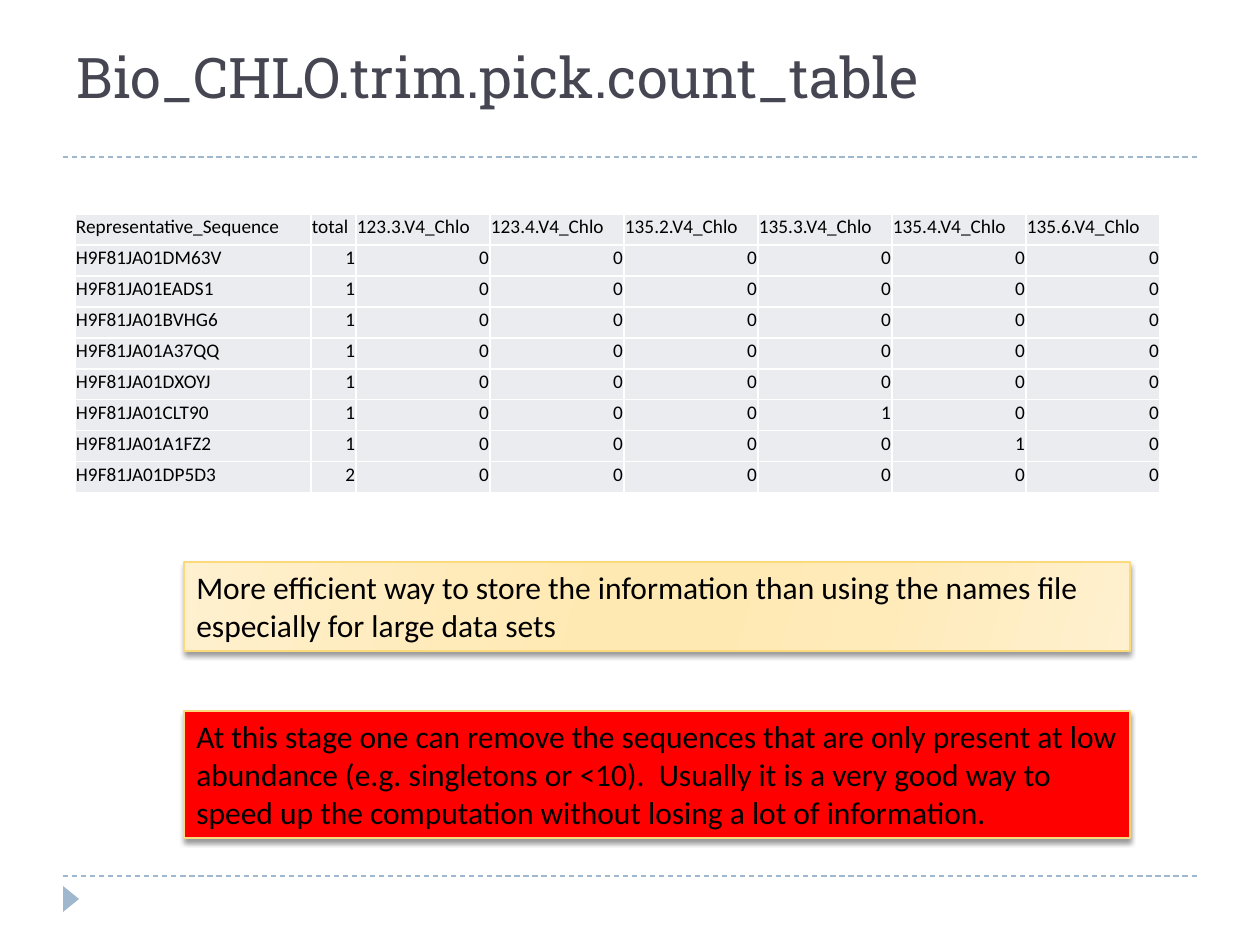
from lxml import etree
from pptx import Presentation, util as u
from pptx.dml.color import RGBColor
from pptx.enum import dml, shapes, text
from pptx.oxml import ns

EMU_PER_PX = 914400 / 126
BODY_FONT, TITLE_FONT = "Calibri", "Roboto Slab"
BLACK = RGBColor(0x00, 0x00, 0x00)
WHITE = RGBColor(0xFF, 0xFF, 0xFF)
SLATE = RGBColor(0x46, 0x46, 0x53)
PALE_BLUE = RGBColor(0x9F, 0xB8, 0xCD)
CELL_GREY = RGBColor(0xEB, 0xEC, 0xF0)
GOLD = RGBColor(0xFA, 0xDA, 0x7A)
RED = RGBColor(0xFF, 0x00, 0x00)
CREAM = RGBColor(0xFF, 0xF0, 0xCF)
SAND = RGBColor(0xFF, 0xEB, 0xBA)
HONEY = RGBColor(0xFF, 0xE9, 0xB3)
CREAM_STOPS = [(0, CREAM), (30, SAND), (45, HONEY), (55, HONEY), (73, SAND), (100, CREAM)]

SAMPLES = ["123.3.V4_Chlo", "123.4.V4_Chlo", "135.2.V4_Chlo",
           "135.3.V4_Chlo", "135.4.V4_Chlo", "135.6.V4_Chlo"]
COUNTS = [
    ("H9F81JA01DM63V", 1, 0, 0, 0, 0, 0, 0),
    ("H9F81JA01EADS1", 1, 0, 0, 0, 0, 0, 0),
    ("H9F81JA01BVHG6", 1, 0, 0, 0, 0, 0, 0),
    ("H9F81JA01A37QQ", 1, 0, 0, 0, 0, 0, 0),
    ("H9F81JA01DXOYJ", 1, 0, 0, 0, 0, 0, 0),
    ("H9F81JA01CLT90", 1, 0, 0, 0, 1, 0, 0),
    ("H9F81JA01A1FZ2", 1, 0, 0, 0, 0, 1, 0),
    ("H9F81JA01DP5D3", 2, 0, 0, 0, 0, 0, 0),
]
COLUMN_WIDTHS = [236, 45] + [134] * len(SAMPLES)
ROW_HEIGHT = 31


def px(length):
    return u.Emu(round(length * EMU_PER_PX))


def add_xml(parent, tag, **attributes):
    child = etree.SubElement(parent, ns.qn(tag))
    for name, value in attributes.items():
        child.set(name, str(value))
    return child


def style(para, size, color, font=BODY_FONT, align=text.PP_ALIGN.LEFT):
    para.alignment = align
    para.font.size = u.Pt(size)
    para.font.name = font
    para.font.color.rgb = color


def set_title(page, words):
    title = page.shapes.title
    title.left, title.top, title.width, title.height = px(64), px(16), px(1134), px(100)
    frame = title.text_frame
    frame.text = words
    frame.word_wrap = True
    frame.auto_size = text.MSO_AUTO_SIZE.NONE
    frame.vertical_anchor = text.MSO_ANCHOR.BOTTOM
    style(frame.paragraphs[0], 32, SLATE, TITLE_FONT)


def add_rule(page, y):
    """Draw a dashed line between the side margins."""
    rule = page.shapes.add_connector(shapes.MSO_CONNECTOR.STRAIGHT,
                                     px(63), px(y), px(1197), px(y))
    rule.line.color.rgb = PALE_BLUE
    rule.line.width = u.Pt(0.75)
    rule.line.dash_style = dml.MSO_LINE.DASH
    add_xml(rule._element.spPr, "a:effectLst")


def add_corner_marker(page):
    marker = page.shapes.add_shape(shapes.MSO_SHAPE.ISOSCELES_TRIANGLE,
                                   px(58), px(891), px(26), px(16))
    marker.rotation = 90
    marker.shadow.inherit = False
    marker.fill.solid()
    marker.fill.fore_color.rgb = PALE_BLUE
    marker.line.fill.background()


def format_cell(cell, align):
    properties = cell._tc.get_or_add_tcPr()
    for side in ("a:lnL", "a:lnR", "a:lnT", "a:lnB"):
        border = add_xml(properties, side, w=u.Pt(1))
        add_xml(add_xml(border, "a:solidFill"), "a:srgbClr", val=WHITE)
    cell.fill.solid()
    cell.fill.fore_color.rgb = CELL_GREY
    cell.margin_left = cell.margin_right = cell.margin_top = px(1)
    cell.margin_bottom = px(6)
    cell.vertical_anchor = text.MSO_ANCHOR.BOTTOM
    style(cell.text_frame.paragraphs[0], 11, BLACK, align=align)


def add_count_table(page):
    rows = [("Representative_Sequence", "total", *SAMPLES), *COUNTS]
    table = page.shapes.add_table(len(rows), len(COLUMN_WIDTHS), px(75), px(214),
                                  px(sum(COLUMN_WIDTHS)), px(ROW_HEIGHT * len(rows))).table
    table.first_row = table.horz_banding = False
    for column, width in zip(table.columns, COLUMN_WIDTHS):
        column.width = px(width)
    for row, values in zip(table.rows, rows):
        row.height = px(ROW_HEIGHT)
        for cell, value in zip(row.cells, values):
            cell.text = str(value)
            is_count = isinstance(value, int)
            format_cell(cell, text.PP_ALIGN.RIGHT if is_count else text.PP_ALIGN.LEFT)


def fill_gradient(shape, stops, angle):
    """Fill with (percent, colour) stops along a clockwise angle."""
    shape.fill.gradient()
    shape.fill.gradient_angle = 360 - angle
    stop_list = shape._element.spPr.find(".//" + ns.qn("a:gsLst"))
    for stop in list(stop_list):
        stop_list.remove(stop)
    for percent, color in stops:
        stop = add_xml(stop_list, "a:gs", pos=percent * 1000)
        add_xml(stop, "a:srgbClr", val=color)


def add_drop_shadow(shape):
    shape.shadow.inherit = False
    effects = shape._element.spPr.find(ns.qn("a:effectLst"))
    shadow = add_xml(effects, "a:outerShdw", blurRad=u.Pt(3), dist=u.Pt(2),
                     dir=90 * 60000, rotWithShape=0)
    add_xml(add_xml(shadow, "a:srgbClr", val=BLACK), "a:alpha", val=40000)


def add_note_box(page, top, height, words):
    box = page.shapes.add_shape(shapes.MSO_SHAPE.RECTANGLE,
                                px(184), px(top), px(946), px(height))
    box.line.color.rgb = GOLD
    box.line.width = u.Pt(0.75)
    add_drop_shadow(box)
    frame = box.text_frame
    frame.text = words
    frame.word_wrap = True
    frame.auto_size = text.MSO_AUTO_SIZE.SHAPE_TO_FIT_TEXT
    frame.vertical_anchor = text.MSO_ANCHOR.TOP
    style(frame.paragraphs[0], 18, BLACK)
    return box


def main():
    deck = Presentation()
    deck.slide_width, deck.slide_height = px(1260), px(945)
    page = deck.slides.add_slide(deck.slide_layouts[5])
    for y in (876, 157):
        add_rule(page, y)
    add_corner_marker(page)
    set_title(page, "Bio_CHLO.trim.pick.count_table")
    add_count_table(page)
    efficiency = add_note_box(
        page, 562, 89,
        "More efficient way to store the information than using the names file "
        "especially for large data sets")
    fill_gradient(efficiency, CREAM_STOPS, 16)
    advice = add_note_box(
        page, 711, 127,
        "At this stage one can remove the sequences that are only present at low "
        "abundance (e.g. singletons or <10).  Usually it is a very good way to "
        "speed up the computation without losing a lot of information.")
    advice.fill.solid()
    advice.fill.fore_color.rgb = RED
    deck.save("out.pptx")


if __name__ == "__main__":
    main()
